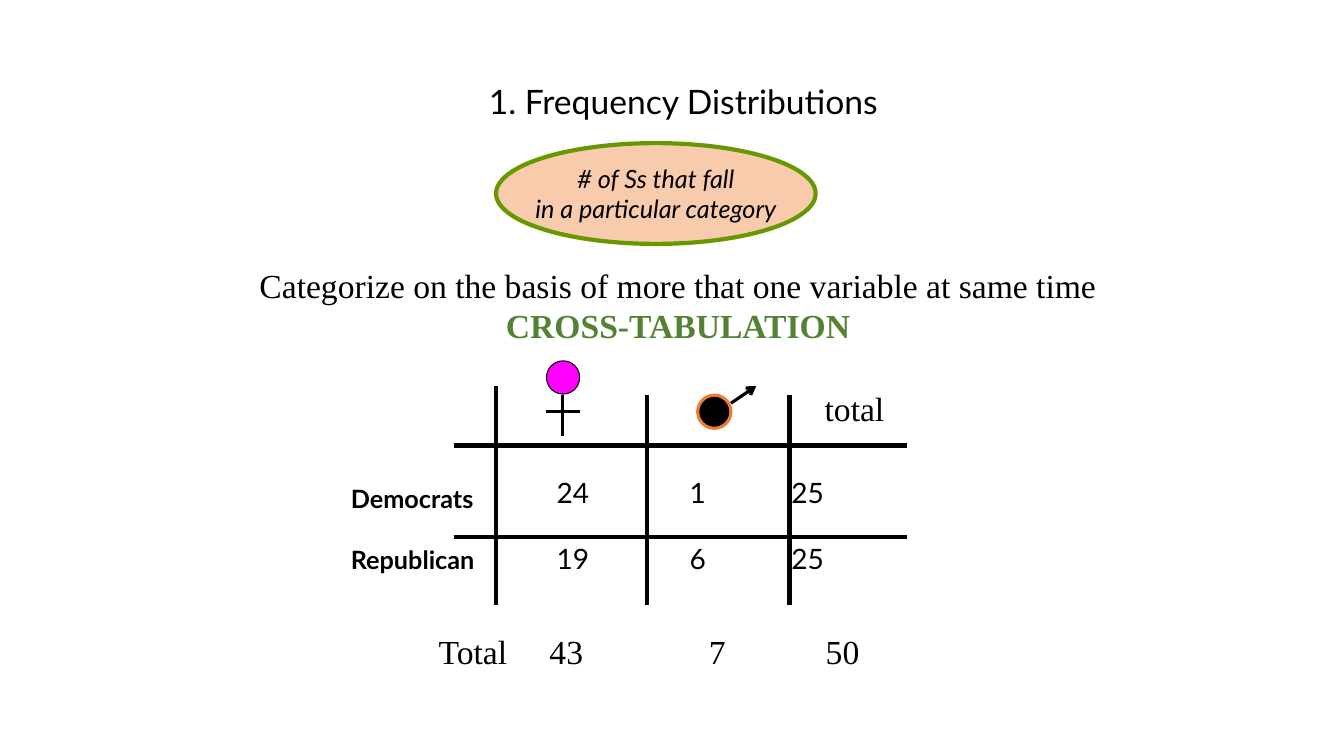
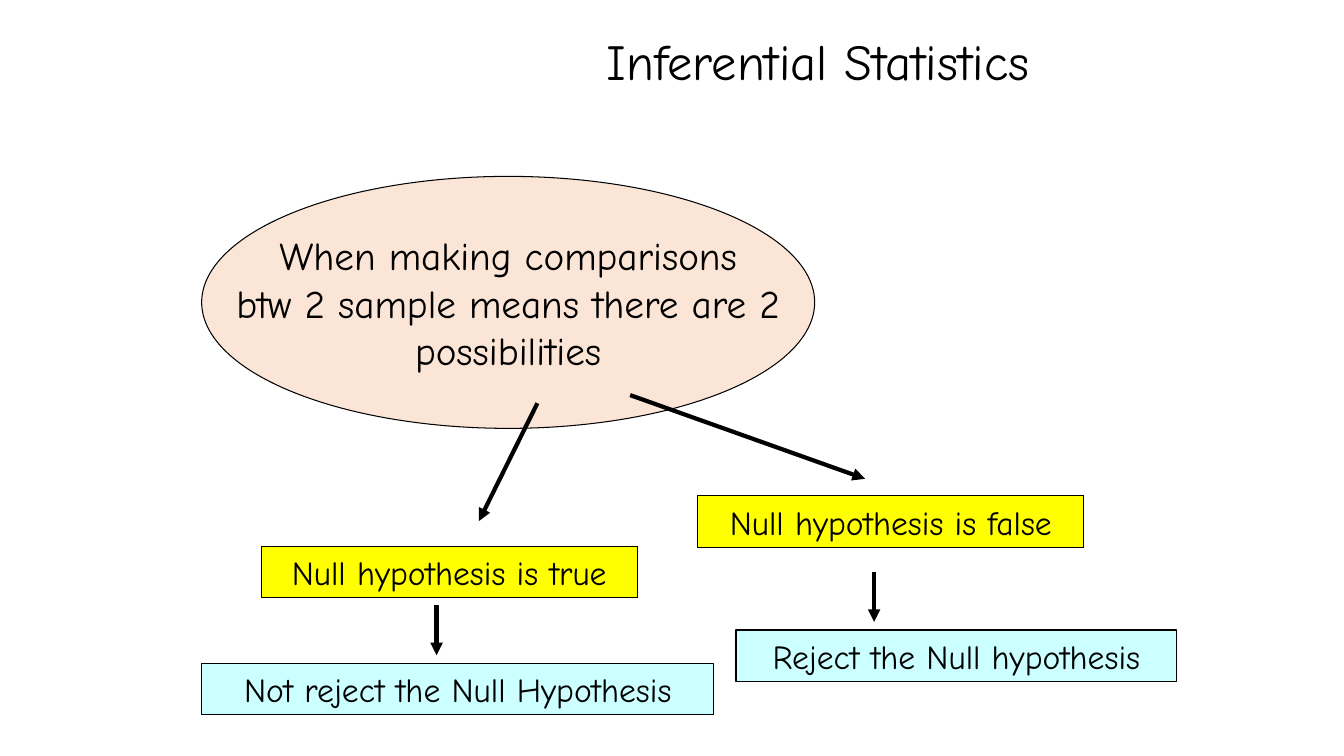
from itertools import pairwise

from lxml import etree
from pptx import Presentation
from pptx import util as u
from pptx.dml.color import RGBColor
from pptx.enum import shapes, text
from pptx.oxml.ns import qn

BLACK = RGBColor(0x00, 0x00, 0x00)
PEACH = RGBColor(0xF8, 0xCB, 0xAD)
PALE_PEACH = RGBColor(0xFB, 0xE5, 0xD6)
OLIVE = RGBColor(0x66, 0x99, 0x00)
GREEN = RGBColor(0x54, 0x82, 0x35)
MAGENTA = RGBColor(0xFF, 0x00, 0xFF)
ORANGE = RGBColor(0xED, 0x7D, 0x31)
YELLOW = RGBColor(0xFF, 0xFF, 0x00)
PALE_CYAN = RGBColor(0xCC, 0xFF, 0xFF)

LATO = "Lato"
TIMES = "Times New Roman"
COMIC = "Comic Neue"
OVAL = shapes.MSO_SHAPE.OVAL
RECTANGLE = shapes.MSO_SHAPE.RECTANGLE
CENTER = text.PP_ALIGN.CENTER


def format_text(frame, font, size, align=None, bold=False, italic=False):
    """Give every paragraph and run of a frame the same black style."""
    for paragraph in frame.paragraphs:
        paragraph.alignment = align
        for run in paragraph.runs:
            run.font.name = font
            run.font.size = u.Pt(size)
            run.font.bold = bold
            run.font.italic = italic
            run.font.color.rgb = BLACK


def add_text(slide, box, words, font, size, align=None):
    """Add an unwrapped text box and return its frame."""
    frame = slide.shapes.add_textbox(*map(u.Inches, box)).text_frame
    frame.word_wrap = False
    frame.text = words
    format_text(frame, font, size, align)
    return frame


def add_figure(slide, kind, box, fill, line=BLACK, width=0.75):
    """Add a filled and outlined preset shape."""
    shape = slide.shapes.add_shape(kind, *map(u.Inches, box))
    shape.shadow.inherit = False
    shape.fill.solid()
    shape.fill.fore_color.rgb = fill
    shape.line.color.rgb = line
    shape.line.width = u.Pt(width)
    return shape


def add_label(shape, words, font, size, italic=False):
    """Write centred text inside a shape."""
    frame = shape.text_frame
    frame.word_wrap = False
    frame.vertical_anchor = text.MSO_ANCHOR.MIDDLE
    frame.text = words
    format_text(frame, font, size, CENTER, italic=italic)


def add_line(slide, start, end, width=3, head=None):
    """Add a straight black line, with an arrowhead at its end if named."""
    line = slide.shapes.add_connector(
        shapes.MSO_CONNECTOR.STRAIGHT, *map(u.Inches, (*start, *end)))
    line.line.color.rgb = BLACK
    line.line.width = u.Pt(width)
    properties = line._element.spPr
    if head:
        etree.SubElement(properties.find(qn("a:ln")), qn("a:tailEnd"), type=head)
    etree.SubElement(properties, qn("a:effectLst"))


def add_counts(slide, left, top):
    """Add the table of counts, each entry at its own offset from the left."""
    edges = (0, 1.74, 3.13, 4.54, 5.71)
    label = (LATO, 18, True)
    count = (LATO, 20, False)
    total = (TIMES, 24, False)
    rows = (
        (0.59, {3: ("total", 4.89, 0.05, total)}),
        (0.91, {0: ("Democrats", 0.19, 0.38, label), 1: ("24", 2.23, 0.3, count),
                2: ("1", 3.55, 0.3, count), 3: ("25", 4.56, 0.3, count)}),
        (0.67, {0: ("Republican", 0.19, 0.07, label), 1: ("19", 2.23, 0.05, count),
                2: ("6", 3.55, 0.05, count), 3: ("25", 4.56, 0.05, count)}),
        (0.75, {0: ("Total", 1.06, 0.3, total), 1: ("43", 2.16, 0.3, total),
                2: ("7", 3.74, 0.3, total), 3: ("50", 4.9, 0.3, total)}),
    )
    height = sum(row[0] for row in rows)
    table = slide.shapes.add_table(
        len(rows), len(edges) - 1,
        *map(u.Inches, (left, top, edges[-1], height))).table
    table.first_row = table.horz_banding = False
    for column, (start, end) in zip(table.columns, pairwise(edges)):
        column.width = u.Inches(end - start)
    for row, (row_height, entries) in zip(table.rows, rows):
        row.height = u.Inches(row_height)
        for index, cell in enumerate(row.cells):
            cell.fill.background()
            if index in entries:
                words, offset, drop, (font, size, bold) = entries[index]
                cell.margin_left = u.Inches(offset - edges[index])
                cell.margin_top = u.Inches(drop)
                cell.margin_right = cell.margin_bottom = 0
                cell.text = words
                format_text(cell.text_frame, font, size, bold=bold)


def add_rules(slide, left, top):
    """Add the heavy rules between the rows and columns of counts."""
    for x, y in ((0.42, 0), (1.92, 0.09), (3.33, 0.09)):
        add_line(slide, (left + x, top + y), (left + x, top + 2.17))
    for y in (0.59, 1.5):
        add_line(slide, (left, top + y), (left + 4.5, top + y))


def add_female_sign(slide, left, top):
    """Add a circle above a cross."""
    add_line(slide, (left + 0.16, top + 0.34), (left + 0.16, top + 0.75), 2.25)
    add_line(slide, (left, top + 0.5), (left + 0.33, top + 0.5), 2.25)
    add_figure(slide, OVAL, (left, top, 0.33, 0.33), MAGENTA)


def add_male_sign(slide, left, top):
    """Add a circle with an arrow to its upper right."""
    add_figure(slide, OVAL, (left, top, 0.33, 0.33), BLACK, ORANGE, 2.25)
    add_line(slide, (left + 0.33, top + 0.08), (left + 0.58, top - 0.09), 2.25, "arrow")


def add_outcome(slide, left, top, hypothesis, decision):
    """Add a hypothesis, an arrow and the decision that follows from it."""
    words, width = hypothesis
    figure = add_figure(slide, RECTANGLE, (left, top, width, 0.51), YELLOW)
    add_label(figure, words, COMIC, 24)
    words, width, shift, drop, arrow_shift, arrow_drop = decision
    x, y = left + arrow_shift, top + arrow_drop
    add_line(slide, (x, y), (x, y + 0.5), head="triangle")
    figure = add_figure(
        slide, RECTANGLE, (left + shift, top + drop, width, 0.51), PALE_CYAN)
    add_label(figure, words, COMIC, 24)


def build_frequency(slide):
    """Fill the slide on frequency distributions."""
    add_text(slide, (4.75, 0.75, 4.08, 0.51), "1. Frequency Distributions", LATO, 24)
    oval = add_figure(slide, OVAL, (4.92, 1.42, 3.17, 1), PEACH, OLIVE, 3)
    add_label(oval, "# of Ss that fall\nin a particular category", LATO, 18, True)
    frame = add_text(
        slide, (2.44, 2.58, 8.57, 0.91),
        "Categorize on the basis of more that one variable at same time\n"
        "CROSS-TABULATION", TIMES, 24, CENTER)
    font = frame.paragraphs[1].runs[0].font
    font.bold = True
    font.color.rgb = GREEN
    add_counts(slide, 3.29, 3.83)
    add_rules(slide, 4.5, 3.83)
    add_female_sign(slide, 5.42, 3.58)
    add_male_sign(slide, 6.92, 3.92)


def build_inference(slide):
    """Fill the slide on inferential statistics."""
    add_text(slide, (5.92, 0.25, 5.44, 0.7), "Inferential Statistics", COMIC, 36)
    oval = add_figure(slide, OVAL, (2, 1.75, 6.08, 2.5), PALE_PEACH)
    add_label(
        oval, "When making comparisons\nbtw 2 sample means there are 2\npossibilities",
        COMIC, 28)
    add_line(slide, (5.33, 4), (4.75, 5.17), head="triangle")
    add_line(slide, (6.25, 3.92), (8.58, 4.75), head="triangle")
    add_outcome(
        slide, 2.59, 5.42, ("Null hypothesis is true", 3.73),
        ("Not reject the Null Hypothesis", 5.08, -0.59, 1.16, 1.74, 0.58))
    add_outcome(
        slide, 6.92, 4.92, ("Null hypothesis is false", 3.83),
        ("Reject the Null hypothesis", 4.37, 0.38, 1.33, 1.75, 0.75))


def main():
    """Build and save the presentation."""
    presentation = Presentation()
    presentation.slide_width = u.Inches(13.33)
    presentation.slide_height = u.Inches(7.5)
    for build in (build_frequency, build_inference):
        build(presentation.slides.add_slide(presentation.slide_layouts[6]))
    presentation.save("out.pptx")


if __name__ == "__main__":
    main()
